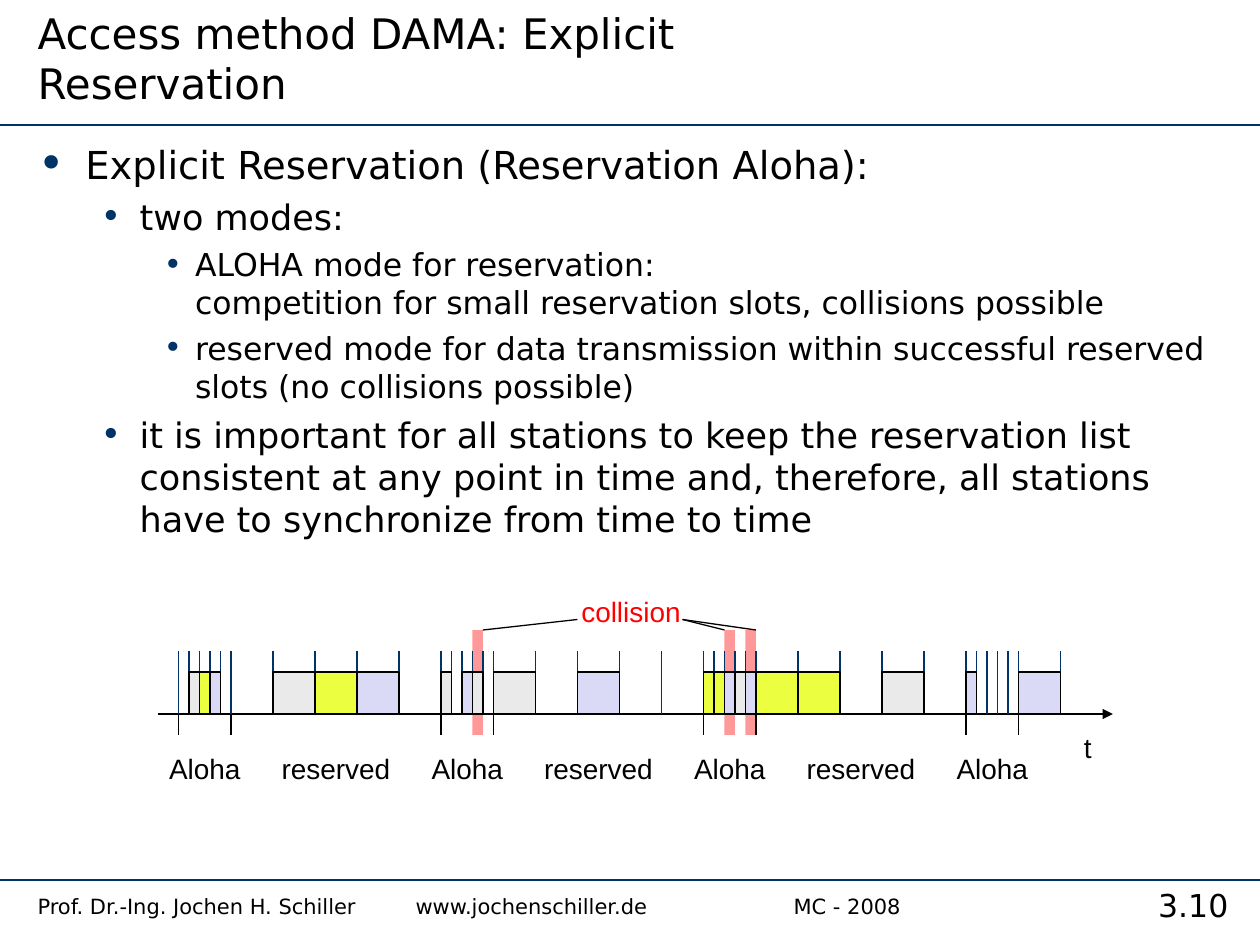
from dataclasses import dataclass

from lxml import etree
from pptx import Presentation
from pptx.dml.color import RGBColor
from pptx.enum.shapes import MSO_CONNECTOR, MSO_SHAPE
from pptx.enum.text import MSO_ANCHOR, PP_ALIGN
from pptx.oxml.ns import qn
from pptx.util import Inches, Pt

STRAIGHT = MSO_CONNECTOR.STRAIGHT
RECTANGLE = MSO_SHAPE.RECTANGLE
TOP, MIDDLE, BOTTOM = MSO_ANCHOR.TOP, MSO_ANCHOR.MIDDLE, MSO_ANCHOR.BOTTOM
LEFT, CENTER = PP_ALIGN.LEFT, PP_ALIGN.CENTER
CELLS_PER_INCH = 12


@dataclass(frozen=True)
class Theme:
    text_font: str = "DejaVu Sans"
    diagram_font: str = "Arial"
    black: str = "000000"
    navy: str = "003366"
    red: str = "FF0000"
    pink: str = "FF9999"
    title_size: int = 24
    body_sizes: tuple = (22, 20, 18)
    number_size: int = 18
    diagram_size: int = 16
    footer_size: int = 12
    rule_width: float = 1
    line_width: float = 0.75


@dataclass(frozen=True)
class Box:
    column: float
    row: float
    columns: float
    rows: float

    def lengths(self) -> tuple:
        return tuple(map(grid, (self.column, self.row, self.columns, self.rows)))


@dataclass(frozen=True)
class Style:
    font: str
    size: float
    color: str


@dataclass(frozen=True)
class Level:
    indent: float
    hanging: float
    space_before: float
    bullet_percent: int


@dataclass(frozen=True)
class Frame:
    mini_slots: str
    data_slots: str


THEME = Theme()
TITLE_STYLE = Style(THEME.text_font, THEME.title_size, THEME.black)
NUMBER_STYLE = Style(THEME.text_font, THEME.number_size, THEME.black)
FOOTER_STYLE = Style(THEME.text_font, THEME.footer_size, THEME.black)
DIAGRAM_STYLE = Style(THEME.diagram_font, THEME.diagram_size, THEME.black)
COLLISION_STYLE = Style(THEME.diagram_font, THEME.diagram_size, THEME.red)

LEVELS = (Level(0.38, 0.38, 5.5, 120), Level(0.81, 0.31, 5, 100), Level(1.25, 0.25, 4.5, 100))
BULLETS = (
    (0, "Explicit Reservation (Reservation Aloha):"),
    (1, "two modes:"),
    (2, "ALOHA mode for reservation:\vcompetition for small reservation slots, collisions possible"),
    (2, "reserved mode for data transmission within successful reserved slots (no collisions possible)"),
    (1, "it is important for all stations to keep the reservation list consistent at any point "
        "in time and, therefore, all stations have to synchronize from time to time"),
)
FOOTER_TABS = (36, 60, 72)

STATION_COLORS = {"g": "EAEAEA", "y": "ECFE40", "l": "DADAF6"}
FRAMES = (
    Frame(".gyl.", ".gyl."),
    Frame("g.lg.", "g.l.."),
    Frame("yylgl", "yy.g."),
    Frame("l....", "l"),
)
FIRST_COLUMN, MINI_WIDTH, DATA_WIDTH, SLOTS = 17, 1, 4, 5
ALOHA_WIDTH = SLOTS * MINI_WIDTH
RESERVED_WIDTH = SLOTS * DATA_WIDTH
MARK_TOP, TICK_TOP, PACKET_TOP, AXIS, MARK_BOTTOM = 60, 62, 64, 68, 70
LABEL_ROW, LABEL_ROWS = 71, 4.4
COLLISION_COLUMNS = (45, 69, 71)
COLLISION_POINTERS = ((46, 55), (72, 65), (69, 65))


def grid(cells: float) -> int:
    return Inches(cells / CELLS_PER_INCH)


def add_line(slide, start: tuple, end: tuple, color: str, width: float = THEME.line_width):
    connector = slide.shapes.add_connector(STRAIGHT, *map(grid, start + end))
    connector.line.color.rgb = RGBColor.from_string(color)
    connector.line.width = Pt(width)
    etree.SubElement(connector._element.spPr, qn("a:effectLst"))
    return connector


def add_arrow(slide, start: tuple, end: tuple, color: str) -> None:
    line = add_line(slide, start, end, color).line
    etree.SubElement(line._get_or_add_ln(), qn("a:tailEnd"), type="triangle")


def add_block(slide, box: Box, fill: str, outlined: bool) -> None:
    shape = slide.shapes.add_shape(RECTANGLE, *box.lengths())
    shape.shadow.inherit = False
    shape.fill.solid()
    shape.fill.fore_color.rgb = RGBColor.from_string(fill)
    if outlined:
        shape.line.color.rgb = RGBColor.from_string(THEME.black)
        shape.line.width = Pt(THEME.line_width)
    else:
        shape.line.fill.background()


def format_runs(paragraph, style: Style) -> None:
    for run in paragraph.runs:
        run.font.name = style.font
        run.font.size = Pt(style.size)
        run.font.color.rgb = RGBColor.from_string(style.color)


def add_text(slide, box: Box, text: str, style: Style, align=LEFT, anchor=TOP, wrap: bool = True):
    text_frame = slide.shapes.add_textbox(*box.lengths()).text_frame
    text_frame.word_wrap = wrap
    text_frame.vertical_anchor = anchor
    text_frame.text = text
    paragraph = text_frame.paragraphs[0]
    paragraph.alignment = align
    format_runs(paragraph, style)
    return paragraph


def add_label(slide, center: float, row: float, columns: float, text: str, style: Style) -> None:
    box = Box(center - columns / 2, row, columns, LABEL_ROWS)
    add_text(slide, box, text, style, CENTER, MIDDLE, False)


def add_bullets(slide, box: Box) -> None:
    text_frame = slide.shapes.add_textbox(*box.lengths()).text_frame
    text_frame.word_wrap = True
    for index, (depth, text) in enumerate(BULLETS):
        level = LEVELS[depth]
        paragraph = text_frame.add_paragraph() if index else text_frame.paragraphs[0]
        paragraph.text = text
        paragraph.level = depth
        properties = paragraph._p.get_or_add_pPr()
        properties.set("marL", str(Inches(level.indent)))
        properties.set("indent", str(-Inches(level.hanging)))
        color = etree.SubElement(properties, qn("a:buClr"))
        etree.SubElement(color, qn("a:srgbClr"), val=THEME.navy)
        etree.SubElement(properties, qn("a:buSzPct"), val=str(level.bullet_percent * 1000))
        etree.SubElement(properties, qn("a:buFont"), typeface=THEME.text_font)
        etree.SubElement(properties, qn("a:buChar"), char="•")
        paragraph.space_before = Pt(level.space_before if index else 0)
        format_runs(paragraph, Style(THEME.text_font, THEME.body_sizes[depth], THEME.black))


def add_footer(slide, box: Box, text: str) -> None:
    paragraph = add_text(slide, box, text, FOOTER_STYLE)
    tabs = etree.SubElement(paragraph._p.get_or_add_pPr(), qn("a:tabLst"))
    for column in FOOTER_TABS:
        etree.SubElement(tabs, qn("a:tab"), pos=str(grid(column)), algn="l")


def add_slots(slide, start: float, width: float, slots: str) -> None:
    for index, station in enumerate(slots):
        if station in STATION_COLORS:
            box = Box(start + index * width, PACKET_TOP, width, AXIS - PACKET_TOP)
            add_block(slide, box, STATION_COLORS[station], True)


def add_frame(slide, start: float, frame: Frame) -> None:
    data_start = start + ALOHA_WIDTH
    ticks = [start + index * MINI_WIDTH for index in range(SLOTS)]
    ticks += [data_start + index * DATA_WIDTH for index in range(len(frame.data_slots))]
    if len(frame.data_slots) < SLOTS:
        ticks.append(data_start + len(frame.data_slots) * DATA_WIDTH)
    for column in ticks:
        add_line(slide, (column, TICK_TOP), (column, AXIS), THEME.navy)
    for column in (start, data_start):
        add_line(slide, (column, AXIS), (column, MARK_BOTTOM), THEME.black)
    add_slots(slide, start, MINI_WIDTH, frame.mini_slots)
    add_slots(slide, data_start, DATA_WIDTH, frame.data_slots)
    add_label(slide, start + ALOHA_WIDTH / 2, LABEL_ROW, 10, "Aloha", DIAGRAM_STYLE)
    if len(frame.data_slots) == SLOTS:
        add_label(slide, data_start + RESERVED_WIDTH / 2, LABEL_ROW, 13, "reserved", DIAGRAM_STYLE)


def add_diagram(slide) -> None:
    for column in COLLISION_COLUMNS:
        add_block(slide, Box(column, MARK_TOP, MINI_WIDTH, MARK_BOTTOM - MARK_TOP), THEME.pink, False)
    add_arrow(slide, (15, AXIS), (106, AXIS), THEME.black)
    for index, frame in enumerate(FRAMES):
        add_frame(slide, FIRST_COLUMN + index * (ALOHA_WIDTH + RESERVED_WIDTH), frame)
    add_label(slide, 60.1, 56, 12, "collision", COLLISION_STYLE)
    for mark, label in COLLISION_POINTERS:
        add_line(slide, (mark, MARK_TOP), (label, MARK_TOP - 1), THEME.black)
    add_label(slide, 103.6, 69, 3.1, "t", DIAGRAM_STYLE)


def main() -> None:
    presentation = Presentation()
    presentation.slide_width, presentation.slide_height = grid(120), grid(90)
    slide = presentation.slides.add_slide(presentation.slide_layouts[6])
    for row in (11.9, 83.8):
        add_line(slide, (0, row), (120, row), THEME.navy, THEME.rule_width)
    add_text(slide, Box(107.3, 83.8, 12.7, 5.3), "3.10", NUMBER_STYLE, CENTER)
    add_text(slide, Box(2.4, 0, 79.3, 10.9), "Access method DAMA: Explicit Reservation",
             TITLE_STYLE, anchor=BOTTOM)
    add_bullets(slide, Box(2.4, 12.8, 115.3, 70.2))
    add_diagram(slide)
    add_footer(slide, Box(2.4, 84.5, 104.9, 4),
               "Prof. Dr.-Ing. Jochen H. Schiller\twww.jochenschiller.de\t\tMC - 2008")
    presentation.save("out.pptx")


if __name__ == "__main__":
    main()
